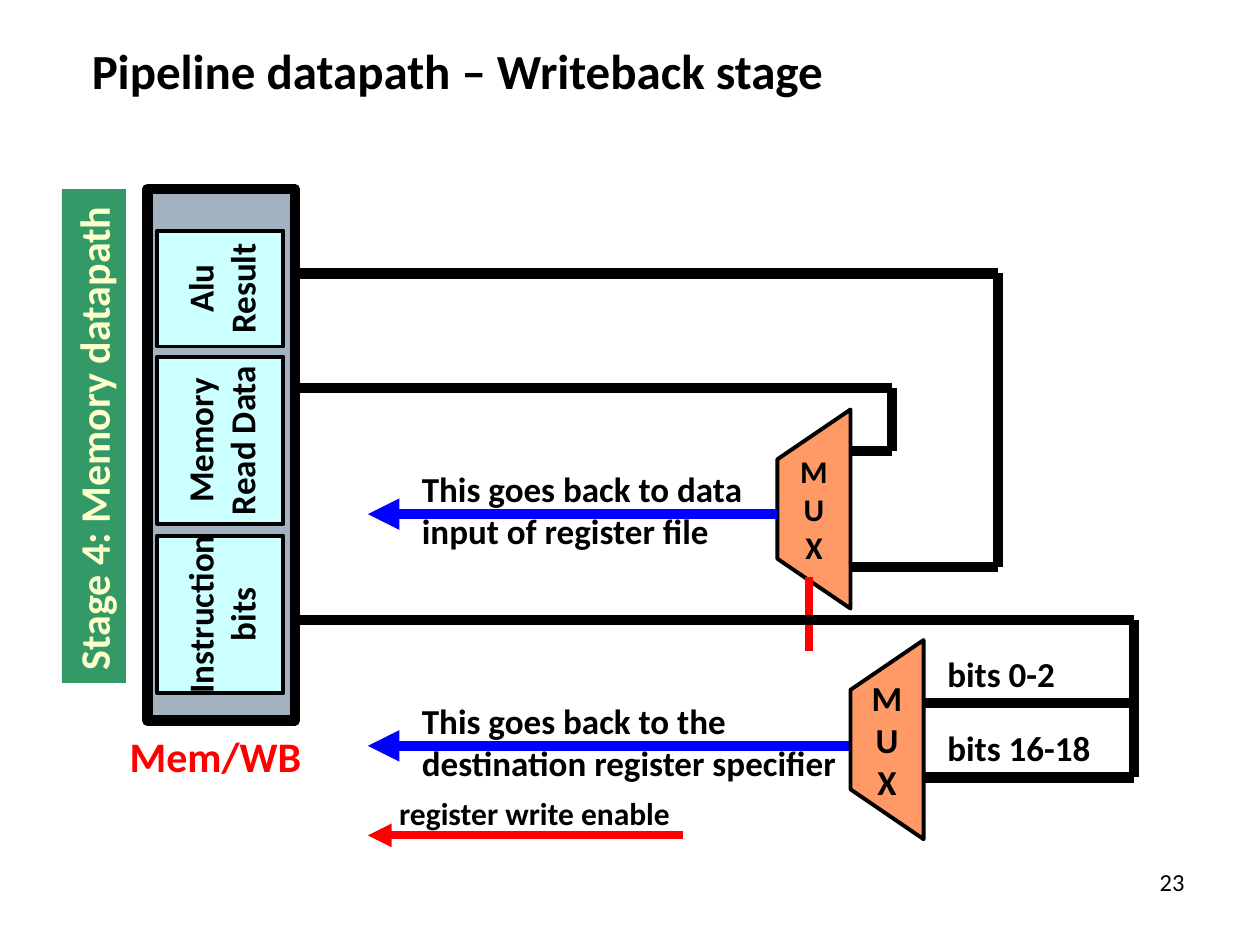
import itertools
from dataclasses import dataclass

import pptx
import pptx.util
import pptx.dml.color
import pptx.enum.shapes
import pptx.enum.text
import pptx.oxml
import pptx.oxml.ns

Inches, Pt = pptx.util.Inches, pptx.util.Pt
SHAPE = pptx.enum.shapes.MSO_SHAPE
ALIGN = pptx.enum.text.PP_ALIGN
ANCHOR = pptx.enum.text.MSO_ANCHOR


@dataclass(frozen=True)
class Theme:
    font: str = "Calibri"
    black: str = "000000"
    red: str = "FF0000"
    blue: str = "0000FF"
    register: str = "A3B2C1"
    field: str = "CCFFFF"
    mux: str = "FF9966"
    stage: str = "339966"
    stage_text: str = "FFFFCC"
    title: int = 28
    heading: int = 24
    label: int = 20
    small: int = 18
    number: int = 14
    outline: float = 2.25
    bus: float = 6
    control: float = 4.5


T = Theme()


def rgb(value):
    return pptx.dml.color.RGBColor.from_string(value)


def write(sp, lines, size=T.label, color=T.black, align=ALIGN.LEFT,
          anchor=ANCHOR.TOP, wrap=False, bold=True):
    tf = sp.text_frame
    tf.word_wrap = wrap
    tf.vertical_anchor = anchor
    tf.text = "\n".join(lines)
    for p in tf.paragraphs:
        p.alignment = align
        p.font.name = T.font
        p.font.size = Pt(size)
        p.font.bold = bold
        p.font.color.rgb = rgb(color)


def add_text(s, x, y, w, h, lines, **style):
    sp = s.shapes.add_textbox(Inches(x), Inches(y), Inches(w), Inches(h))
    write(sp, lines, **style)


def paint(sp, fill, width=None):
    sp.shadow.inherit = False
    sp.fill.solid()
    sp.fill.fore_color.rgb = rgb(fill)
    if width is None:
        sp.line.fill.background()
    else:
        sp.line.color.rgb = rgb(T.black)
        sp.line.width = Pt(width)


def add_box(s, x, y, w, h, fill, width=None):
    sp = s.shapes.add_shape(SHAPE.RECTANGLE, Inches(x), Inches(y), Inches(w), Inches(h))
    paint(sp, fill, width)
    return sp


def add_upward_box(s, x, y, w, h, fill, width=None):
    """Box covering x, y, w, h whose text reads from bottom to top."""
    sp = add_box(s, x + (w - h) / 2, y + (h - w) / 2, h, w, fill, width)
    sp.rotation = 270
    return sp


def add_wire(s, points, color=T.black, width=T.bus, arrow=False):
    """Straight segments through the points; an arrowhead sits at the first one."""
    for (x1, y1), (x2, y2) in itertools.pairwise(points):
        c = s.shapes.add_connector(pptx.enum.shapes.MSO_CONNECTOR.STRAIGHT,
                                   Inches(x1), Inches(y1), Inches(x2), Inches(y2))
        c.line.color.rgb = rgb(color)
        c.line.width = Pt(width)
        sp_pr = c.element.spPr
        if arrow:
            head = pptx.oxml.parse_xml(
                f'<a:headEnd {pptx.oxml.ns.nsdecls("a")} type="triangle"/>')
            c.line._get_or_add_ln().append(head)
        sp_pr.append(pptx.oxml.parse_xml(
            f'<a:effectLst {pptx.oxml.ns.nsdecls("a")}/>'))


def add_mux(s, x, y, size, w=0.58, h=1.58):
    inset = h / 4
    corners = [(x + w, y + h), (x, y + h - inset), (x, y + inset), (x + w, y)]
    points = [(Inches(px), Inches(py)) for px, py in corners]
    fb = s.shapes.build_freeform(*points[0])
    fb.add_line_segments(points[1:], close=True)
    sp = fb.convert_to_shape()
    paint(sp, T.mux, T.outline)
    write(sp, "MUX", size=size, align=ALIGN.CENTER, anchor=ANCHOR.MIDDLE)


def pipeline_register(s, x, y, w, h):
    add_box(s, x, y, w, h, T.register, T.bus)
    fields = [(0.33, 0.92, ["Alu", "Result"]),
              (1.33, 1.33, ["Memory", "Read Data"]),
              (2.75, 1.25, ["Instruction", "bits"])]
    for top, height, lines in fields:
        sp = add_upward_box(s, x + 0.08, y + top, 1, height, T.field, T.outline)
        write(sp, lines, align=ALIGN.CENTER, anchor=ANCHOR.MIDDLE)
    add_text(s, x - 0.67, y + h + 0.03, 2.42, 0.5, ["Mem/WB"], size=T.heading,
             color=T.red, align=ALIGN.CENTER, wrap=True)
    stage = add_upward_box(s, x - 0.68, y, 0.51, 3.92, T.stage)
    write(stage, ["Stage 4: Memory datapath"], size=T.heading, color=T.stage_text)


def data_writeback(s, x, y):
    """Data path from the register's edge at x, its first wire at y."""
    mux_x, mux_y = x + 3.84, y + 1.08
    mux_right = mux_x + 0.58
    out_y = y + 1.91
    add_mux(s, mux_x, mux_y, T.small)
    add_wire(s, [(x + 0.59, out_y), (mux_x, out_y)], T.blue, arrow=True)
    add_wire(s, [(x, y), (x + 5.59, y), (x + 5.59, y + 2.33), (mux_right, y + 2.33)])
    add_wire(s, [(x, y + 0.91), (x + 4.75, y + 0.91), (x + 4.75, y + 1.41),
                 (mux_right, y + 1.41)])
    add_text(s, x + 0.92, y + 1.49, 2.83, 0.77,
             ["This goes back to data", "input of register file"])
    add_wire(s, [(x + 4.09, y + 2.41), (x + 4.09, y + 3)], T.red, T.control)


def destination_writeback(s, x, y):
    """Destination path from the register's edge at x, its first wire at y."""
    mux_x, mux_y = x + 4.42, y + 0.16
    mux_right, right = mux_x + 0.58, x + 6.67
    add_wire(s, [(x + 0.59, y + 1), (mux_x, y + 1)], T.blue, arrow=True)
    add_text(s, x + 0.92, y + 0.58, 3.52, 0.77,
             ["This goes back to the", "destination register specifier"])
    add_mux(s, mux_x, mux_y, T.label)
    add_wire(s, [(x, y), (right, y), (right, y + 1.25), (mux_right, y + 1.25)])
    add_wire(s, [(mux_right, y + 0.66), (right, y + 0.66)])
    for top, width, label in [(0.21, 1.06, "bits 0-2"), (0.8, 1.35, "bits 16-18")]:
        add_text(s, x + 5.09, y + top, width, 0.44, [label])
    add_wire(s, [(x + 0.59, y + 1.71), (x + 3.09, y + 1.71)], T.red, T.control, arrow=True)
    add_text(s, x + 0.74, y + 1.33, 2.37, 0.4, ["register write enable"], size=T.small)


def main():
    prs = pptx.Presentation()
    prs.slide_width, prs.slide_height = Inches(10), Inches(7.5)
    s = prs.slides.add_slide(prs.slide_layouts[6])
    add_text(s, 0.63, -0.08, 8.75, 0.92, ["Pipeline datapath – Writeback stage"],
             size=T.title, anchor=ANCHOR.BOTTOM, wrap=True)
    pipeline_register(s, 1.17, 1.5, 1.17, 4.22)
    data_writeback(s, 2.33, 2.17)
    destination_writeback(s, 2.33, 4.92)
    add_text(s, 7.17, 6.83, 2.33, 0.52, ["23"], size=T.number,
             align=ALIGN.RIGHT, wrap=True, bold=False)
    prs.save("out.pptx")


if __name__ == "__main__":
    main()
